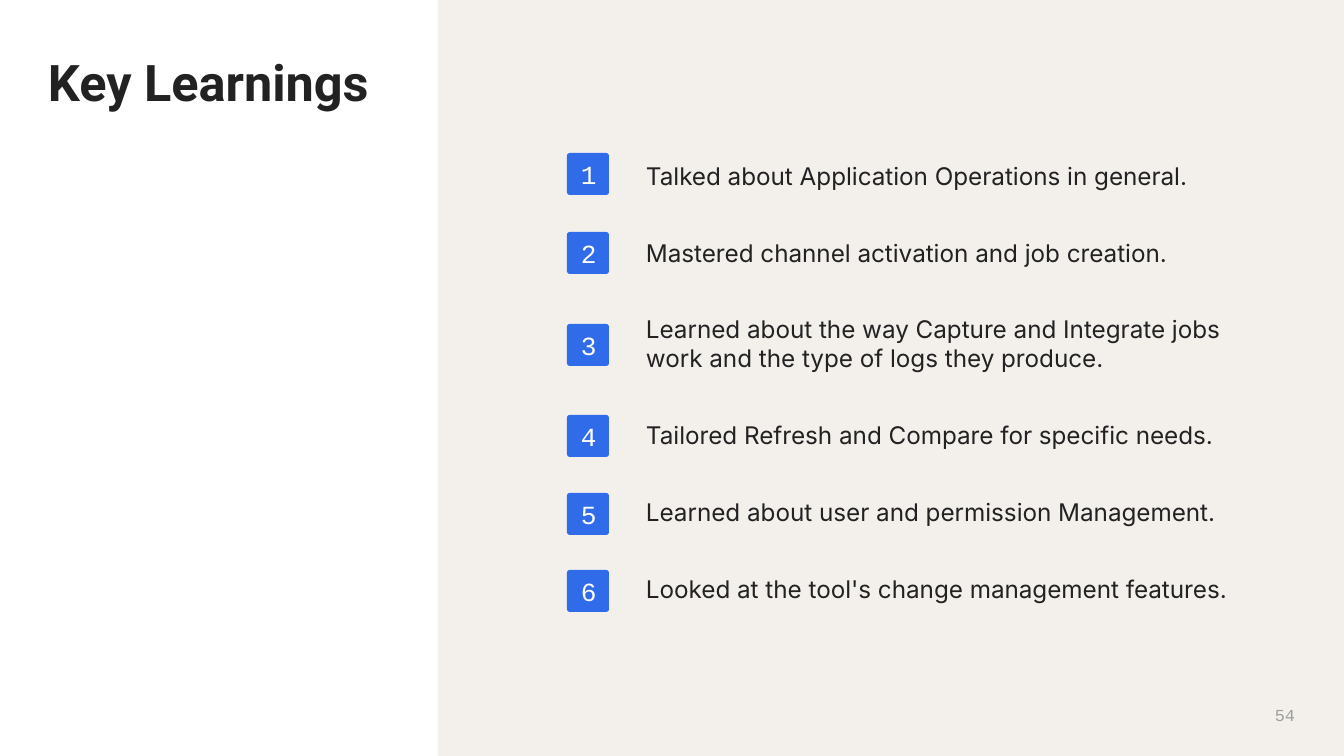
from lxml import etree
from pptx import Presentation
from pptx.dml.color import RGBColor
from pptx.enum import shapes, text
from pptx.oxml.ns import qn
from pptx.util import Pt

TITLE = "Key Learnings"
PAGE_NUMBER = "54"
# Learning, top of its number badge
LEARNINGS = [
    ("Talked about Application Operations in general.", 153),
    ("Mastered channel activation and job creation.", 232),
    ("Learned about the way Capture and Integrate jobs work and the type "
     "of logs they produce.", 324),
    ("Tailored Refresh and Compare for specific needs.", 415),
    ("Learned about user and permission Management.", 493),
    ("Looked at the tool's change management features.", 570),
]
COLORS = {"panel": "F3F0EC", "badge": "306BEA", "ink": "222222",
          "on_badge": "FFFFFF", "page": "9E9E9E"}
FONTS = {
    "title": {"name": "Roboto", "size": Pt(27), "bold": True},
    "learning": {"name": "Inter", "size": Pt(13), "bold": False},
    "badge": {"name": "Courier New", "size": Pt(14)},
    "page": {"name": "Courier New", "size": Pt(9)},
}
WIDTH, HEIGHT = 1344, 756
PANEL_LEFT = 438
BADGE_LEFT, BADGE_SIZE, BADGE_INSET = 567, 42, 13
LEARNING_GAP = Pt(25.5)


def px(value):
    return round(value * 914400 / 134.4)


def rgb(key):
    return RGBColor.from_string(COLORS[key])


def place(shape, left, top, width, height):
    shape.left, shape.top = px(left), px(top)
    shape.width, shape.height = px(width), px(height)


def set_frame(frame, inset, anchor):
    for side in ("left", "top", "right", "bottom"):
        setattr(frame, f"margin_{side}", px(inset))
    frame.vertical_anchor = anchor
    frame.auto_size = text.MSO_AUTO_SIZE.NONE
    frame.word_wrap = True


def write(paragraph, words, style, color, align):
    run = paragraph.add_run()
    run.text = words
    for name, value in FONTS[style].items():
        setattr(run.font, name, value)
    run.font.color.rgb = rgb(color)
    paragraph.alignment = align


def add_block(slide, kind, box, color):
    block = slide.shapes.add_shape(kind, *map(px, box))
    block.shadow.inherit = False
    block.fill.solid()
    block.fill.fore_color.rgb = rgb(color)
    block.line.fill.background()
    return block


def remove_bullet(paragraph):
    properties = paragraph._p.get_or_add_pPr()
    properties.set("marL", "0")
    properties.set("indent", "0")
    etree.SubElement(properties, qn("a:buNone"))


def add_learnings(body):
    place(body, 641, 156, 613, 555)
    set_frame(body.text_frame, 5, text.MSO_ANCHOR.TOP)
    for index, (learning, _) in enumerate(LEARNINGS):
        frame = body.text_frame
        paragraph = frame.add_paragraph() if index else frame.paragraphs[0]
        remove_bullet(paragraph)
        paragraph.space_before = LEARNING_GAP if index else Pt(0)
        write(paragraph, learning, "learning", "ink", text.PP_ALIGN.LEFT)


def add_badge(slide, number, top):
    badge = add_block(slide, shapes.MSO_SHAPE.ROUNDED_RECTANGLE,
                      (BADGE_LEFT, top, BADGE_SIZE, BADGE_SIZE), "badge")
    badge.adjustments[0] = 0.07
    set_frame(badge.text_frame, BADGE_INSET, text.MSO_ANCHOR.MIDDLE)
    write(badge.text_frame.paragraphs[0], str(number), "badge", "on_badge",
          text.PP_ALIGN.CENTER)


def main():
    deck = Presentation()
    deck.slide_width, deck.slide_height = px(WIDTH), px(HEIGHT)
    slide = deck.slides.add_slide(deck.slide_layouts[1])
    title, body = slide.placeholders

    panel = add_block(slide, shapes.MSO_SHAPE.RECTANGLE,
                      (PANEL_LEFT, 0, WIDTH - PANEL_LEFT, HEIGHT), "panel")
    title._element.addprevious(panel._element)

    place(title, 48, 51, 504, 122)
    set_frame(title.text_frame, 0, text.MSO_ANCHOR.TOP)
    write(title.text_frame.paragraphs[0], TITLE, "title", "ink",
          text.PP_ALIGN.LEFT)

    add_learnings(body)
    for number, (_, top) in enumerate(LEARNINGS, start=1):
        add_badge(slide, number, top)

    page = slide.shapes.add_textbox(*map(px, (1262, 694, 33, 42)))
    set_frame(page.text_frame, 0, text.MSO_ANCHOR.MIDDLE)
    write(page.text_frame.paragraphs[0], PAGE_NUMBER, "page", "page",
          text.PP_ALIGN.RIGHT)

    deck.save("out.pptx")


if __name__ == "__main__":
    main()
